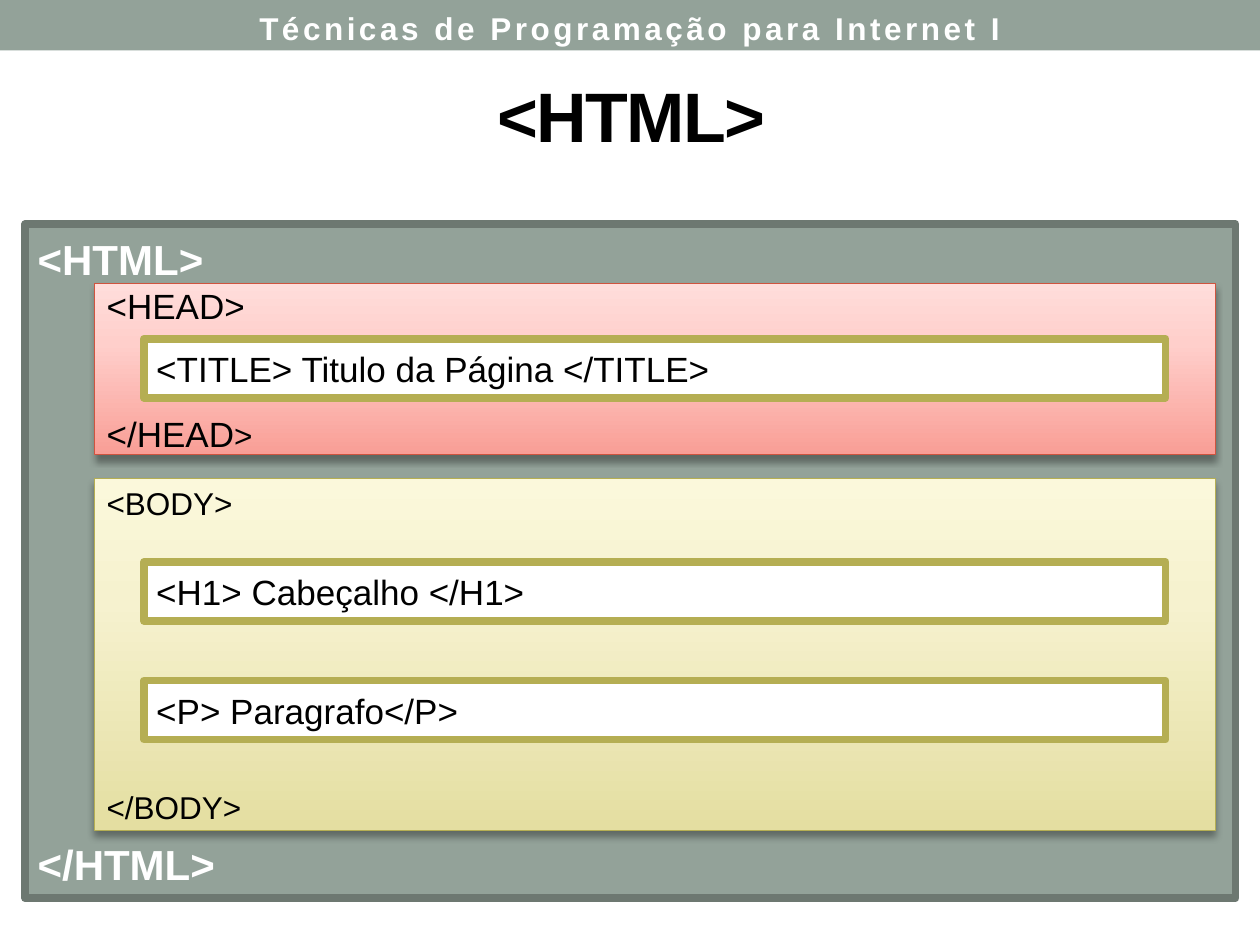
from copy import deepcopy

from lxml.etree import SubElement
from pptx import Presentation
from pptx.dml.color import RGBColor
from pptx.enum.shapes import MSO_SHAPE
from pptx.enum.text import MSO_ANCHOR, PP_ALIGN
from pptx.oxml.ns import qn
from pptx.util import Cm, Pt

COLORS = {
    "sage": "93A299", "sage_dark": "6D7871",
    "white": "FFFFFF", "black": "000000",
    "red": "CF543F", "olive": "B5AE53",
}
HEAD_GRADIENT = [(0, "F99E96"), (0.65, "FFCFCB"), (1, "FFDDDB")]
BODY_GRADIENT = [(0, "E4DEA1"), (0.65, "F6F2CF"), (1, "FBF8DB")]


def rgb(name):
    return RGBColor.from_string(COLORS[name])


class SlideBuilder:
    """Holds the style and the current slide."""
    font_name = "Arial"
    thick, thin = 4.33, 0.75

    def __init__(self, slide):
        self.slide = slide

    def fill_paragraph(self, paragraph, text, size, color="black", bold=False,
                       spacing=0):
        paragraph.font.name = self.font_name
        paragraph.font.size = Pt(size)
        paragraph.font.bold = bold
        paragraph.font.color.rgb = rgb(color)
        run = paragraph.add_run()
        run.text = text
        if spacing:
            run.font._element.set("spc", str(spacing * 100))

    def text(self, box, text, size, color, spacing, anchor=MSO_ANCHOR.TOP):
        shape = self.slide.shapes.add_textbox(*map(Cm, box))
        frame = shape.text_frame
        frame.word_wrap = True
        frame.vertical_anchor = anchor
        paragraph = frame.paragraphs[0]
        paragraph.alignment = PP_ALIGN.CENTER
        self.fill_paragraph(paragraph, text, size, color, True, spacing)

    def rectangle(self, box, fill=None, line=None, width=thick):
        shape = self.slide.shapes.add_shape(MSO_SHAPE.RECTANGLE, *map(Cm, box))
        shape.shadow.inherit = False
        if fill:
            shape.fill.solid()
            shape.fill.fore_color.rgb = rgb(fill)
        if line:
            shape.line.color.rgb = rgb(line)
            shape.line.width = Pt(width)
            SubElement(shape._element.spPr.find(qn("a:ln")), qn("a:round"))
        else:
            shape.line.fill.background()
        shape.text_frame.word_wrap = True
        shape.text_frame.vertical_anchor = MSO_ANCHOR.MIDDLE
        return shape

    def tags(self, shape, name, size, gap, color="black", bold=False):
        """Puts in the opening and closing tag, gap points apart."""
        opening = shape.text_frame.paragraphs[0]
        closing = shape.text_frame.add_paragraph()
        closing.space_before = Pt(gap)
        for paragraph, text in ((opening, f"<{name}>"), (closing, f"</{name}>")):
            paragraph.alignment = PP_ALIGN.LEFT
            self.fill_paragraph(paragraph, text, size, color, bold)
        return closing

    def gradient_panel(self, box, stops, line):
        shape = self.rectangle(box, line=line, width=self.thin)
        # Gradient from bottom to top, with a third stop
        shape.fill.gradient()
        shape.fill.gradient_angle = 90
        properties = shape._element.spPr
        stop_list = properties.find(qn("a:gradFill")).find(qn("a:gsLst"))
        stop_list.append(deepcopy(stop_list[0]))
        for stop, (position, color) in zip(shape.fill.gradient_stops, stops):
            stop.position = position
            stop.color.rgb = RGBColor.from_string(color)
        # Soft shadow below
        shadow = SubElement(properties.find(qn("a:effectLst")), qn("a:outerShdw"),
                            blurRad=str(Pt(4)), dist=str(Pt(3)),
                            dir="5400000", rotWithShape="0")
        color = SubElement(shadow, qn("a:srgbClr"), val=COLORS["black"])
        SubElement(color, qn("a:alpha"), val="35000")
        return shape

    def element_box(self, top, text):
        shape = self.rectangle((2.9, top, 20.6, 1.19), "white", "olive")
        paragraph = shape.text_frame.paragraphs[0]
        paragraph.alignment = PP_ALIGN.LEFT
        self.fill_paragraph(paragraph, text, 20)


def main():
    presentation = Presentation()
    presentation.slide_width, presentation.slide_height = Cm(25.4), Cm(19.05)
    slide = presentation.slides.add_slide(presentation.slide_layouts[6])
    builder = SlideBuilder(slide)

    # Header band and title
    builder.rectangle((0, 0, 25.4, 1.02), "sage")
    builder.text((1.3, 1.12, 22.86, 2.39), "<HTML>", 40, "black", -1,
                 MSO_ANCHOR.MIDDLE)
    builder.text((0, 0.05, 25.4, 1.02), "Técnicas de Programação para Internet I",
                 18, "white", 2)

    # Document
    document = builder.rectangle((0.51, 4.52, 24.4, 13.59), "sage", "sage_dark")
    builder.tags(document, "HTML", 24, 317, "white", True)

    # Head and body
    head = builder.gradient_panel((1.9, 5.72, 22.6, 3.45), HEAD_GRADIENT, "red")
    closing = builder.tags(head, "HEAD", 20, 49)
    closing.runs[0].text = "</HEAD"
    bracket = closing.add_run()
    bracket.text = ">"
    bracket.font.size = Pt(18)
    body = builder.gradient_panel((1.9, 9.65, 22.6, 7.09), BODY_GRADIENT, "olive")
    builder.tags(body, "BODY", 18, 152)

    # Elements inside them
    for top, text in ((11.33, "<H1> Cabeçalho </H1>"),
                      (13.72, "<P> Paragrafo</P>"),
                      (6.83, "<TITLE> Titulo da Página </TITLE>")):
        builder.element_box(top, text)

    presentation.save("out.pptx")


if __name__ == "__main__":
    main()
